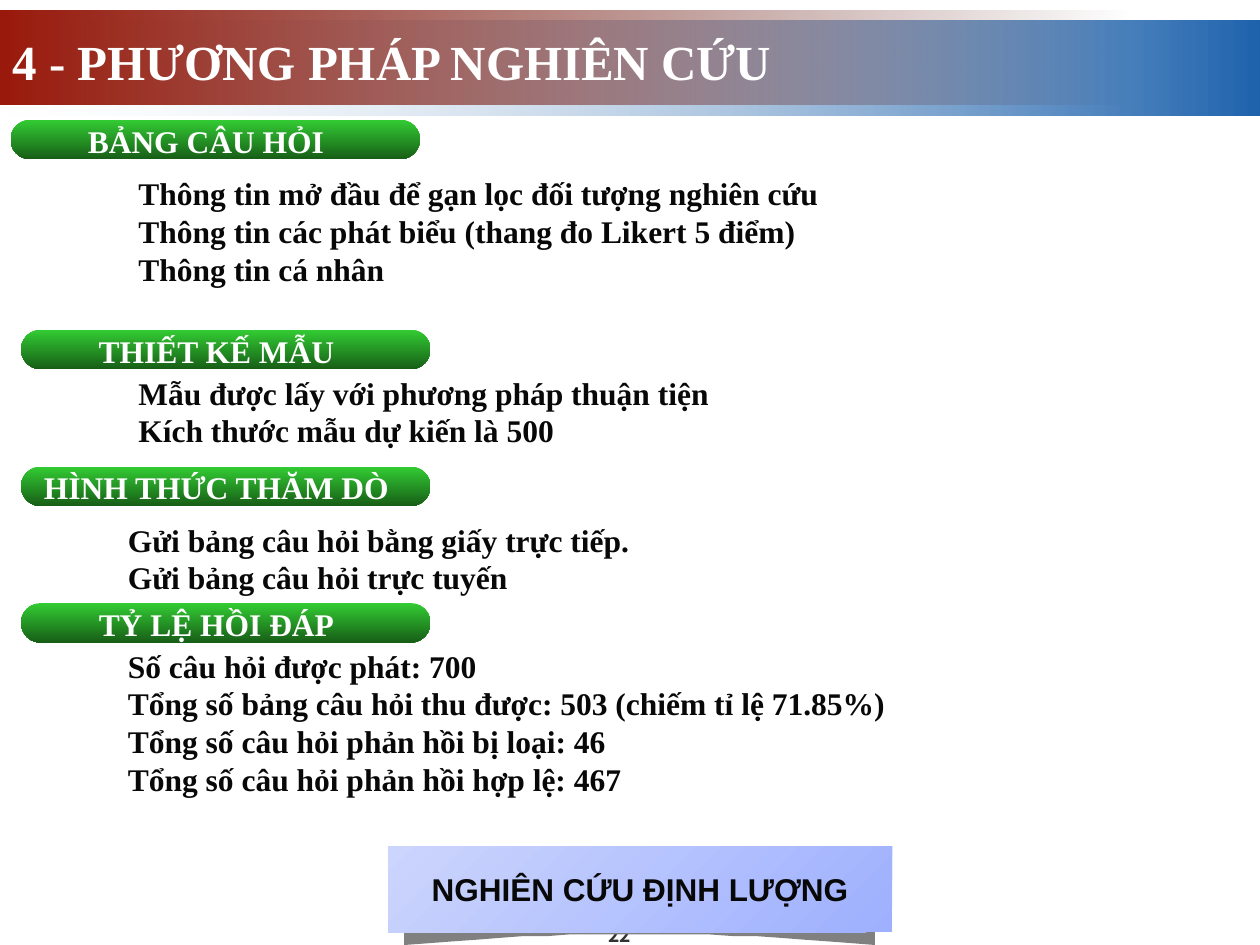
from dataclasses import dataclass

from lxml import etree
from pptx import Presentation
from pptx.dml.color import RGBColor
from pptx.enum.shapes import MSO_SHAPE
from pptx.enum.text import MSO_ANCHOR, MSO_AUTO_SIZE, PP_ALIGN
from pptx.oxml.ns import qn
from pptx.util import Pt

RECTANGLE = MSO_SHAPE.RECTANGLE
ROUNDED = MSO_SHAPE.ROUNDED_RECTANGLE
LEFT, CENTER = PP_ALIGN.LEFT, PP_ALIGN.CENTER
TOP, MIDDLE = MSO_ANCHOR.TOP, MSO_ANCHOR.MIDDLE
GROW = MSO_AUTO_SIZE.SHAPE_TO_FIT_TEXT
SERIF, SANS, NUMBER_FONT = "Times New Roman", "Arial", "Noto Sans CJK KR"
INK, WHITE = "080808", "FFFFFF"


@dataclass
class Box:
    left: float
    top: float
    width: float
    height: float

    def lengths(self) -> list:
        return [Pt(value) for value in (self.left, self.top, self.width, self.height)]


@dataclass
class Section:
    heading: str
    pill_left: float
    pill_top: float
    body: Box
    lines: list[str]
    level: int = 0


SECTIONS = [
    Section("BẢNG CÂU HỎI", 6, 68.4, Box(0, 96, 558, 72), [
        "Thông tin mở đầu để gạn lọc đối tượng nghiên cứu",
        "Thông tin các phát biểu (thang đo Likert 5 điểm)",
        "Thông tin cá nhân",
    ], 2),
    Section("THIẾT KẾ MẪU", 12, 188.4, Box(36, 210, 426, 50.4), [
        "Mẫu được lấy với phương pháp thuận tiện",
        "Kích thước mẫu dự kiến là 500",
    ], 1),
    Section("HÌNH THỨC THĂM DÒ", 12, 266.6, Box(66, 294, 606, 50.4), [
        "Gửi bảng câu hỏi bằng giấy trực tiếp.",
        "Gửi bảng câu hỏi trực tuyến",
    ]),
    Section("TỶ LỆ HỒI ĐÁP", 12, 344.6, Box(30, 366, 558, 93.6), [
        "Số câu hỏi được phát: 700",
        "Tổng số bảng câu hỏi thu được: 503 (chiếm tỉ lệ 71.85%)",
        "Tổng số câu hỏi phản hồi bị loại: 46",
        "Tổng số câu hỏi phản hồi hợp lệ: 467",
    ], 1),
]


def color(value: str) -> RGBColor:
    return RGBColor.from_string(value)


def write_text(shape, lines: list[str], *, size: float = 18, font: str = SERIF,
               text_color: str = INK, align=LEFT, anchor=TOP, wrap: bool = True,
               level: int = 0, inset: bool = True) -> None:
    frame = shape.text_frame
    frame.word_wrap = wrap
    frame.vertical_anchor = anchor
    frame.margin_left = frame.margin_right = Pt(7.2 if inset else 0)
    frame.margin_top = frame.margin_bottom = Pt(3.6 if inset else 0)
    if wrap:
        frame.auto_size = GROW
    for index, line in enumerate(lines):
        paragraph = frame.paragraphs[0] if index == 0 else frame.add_paragraph()
        paragraph.alignment = align
        if level:
            paragraph.level = level
            properties = paragraph._p.get_or_add_pPr()
            properties.set("marL", str(Pt(36 * level)))
            properties.set("indent", "0")
        run = paragraph.add_run()
        run.text = line
        run.font.name = font
        run.font.size = Pt(size)
        run.font.bold = True
        run.font.color.rgb = color(text_color)


def add_text(slide, box: Box, lines: list[str], **text_format) -> None:
    write_text(slide.shapes.add_textbox(*box.lengths()), lines, **text_format)


def add_gradient_shape(slide, kind, box: Box, colors: tuple[str, str], angle: float,
                       clear_stop: int | None = None):
    """Draw a two-colour shape; angle is counter-clockwise, clear_stop is transparent."""
    shape = slide.shapes.add_shape(kind, *box.lengths())
    shape.shadow.inherit = False
    shape.line.fill.background()
    shape.fill.gradient()
    shape.fill.gradient_angle = angle
    for stop, value in zip(shape.fill.gradient_stops, colors):
        stop.color.rgb = color(value)
    if clear_stop is not None:
        stop_color = list(shape._element.spPr.iter(qn("a:srgbClr")))[clear_stop]
        etree.SubElement(stop_color, qn("a:alpha")).set("val", "0")
    return shape


def add_section(slide, section: Section) -> None:
    pill = Box(section.pill_left, section.pill_top, 234, 22.6)
    shape = add_gradient_shape(slide, ROUNDED, pill, ("33CC33", "175E17"), 270)
    shape.adjustments[0] = 0.5
    label = Box(pill.left + 1.2, pill.top - 2.4, 221, 28.8)
    add_text(slide, label, [section.heading], text_color=WHITE, align=CENTER)
    add_text(slide, section.body, section.lines, level=section.level)


def add_curled_shadow(slide) -> None:
    """Draw the grey shadow whose lower edge is a shallow parabola."""
    middle, half, bottom, rise, steps = 365.8, 134.7, 540, 6.5, 20
    ratios = [1 - 2 * step / steps for step in range(steps + 1)]
    curve = [(middle + half * t, bottom - rise * (1 - t * t)) for t in ratios]
    roof = [(middle - half, 522), (middle, 516), (middle + half, 522)]
    builder = slide.shapes.build_freeform(*curve[0], scale=Pt(1))
    builder.add_line_segments(curve[1:] + roof, close=True)
    shape = builder.convert_to_shape()
    shape.shadow.inherit = False
    shape.fill.solid()
    shape.fill.fore_color.rgb = color("808080")
    shape.line.fill.background()


def main() -> None:
    presentation = Presentation()
    presentation.slide_width, presentation.slide_height = Pt(720), Pt(540)
    slide = presentation.slides.add_slide(presentation.slide_layouts[6])

    add_gradient_shape(slide, RECTANGLE, Box(0, 12, 720, 54),
                       ("1F63AD", "E2EAF3"), 180, clear_stop=1)
    add_gradient_shape(slide, RECTANGLE, Box(0, 6, 648, 54),
                       ("460B05", "99190B"), 180, clear_stop=0)
    add_text(slide, Box(312, 528.5, 84, 11.5), ["22"], size=11, font=NUMBER_FONT,
             text_color="333333", align=CENTER, anchor=MIDDLE, wrap=False, inset=False)
    add_text(slide, Box(0, 14.4, 720, 41), ["4 - PHƯƠNG PHÁP NGHIÊN CỨU"],
             size=28, text_color=WHITE)

    add_curled_shadow(slide)
    banner = add_gradient_shape(slide, RECTANGLE, Box(221.8, 483.6, 288, 49.2),
                                ("9EB0FE", "CCD5FD"), 135)
    write_text(banner, ["NGHIÊN CỨU ĐỊNH LƯỢNG"], font=SANS, align=CENTER,
               anchor=MIDDLE, wrap=False)

    for section in SECTIONS:
        add_section(slide, section)
    presentation.save("out.pptx")


if __name__ == "__main__":
    main()
